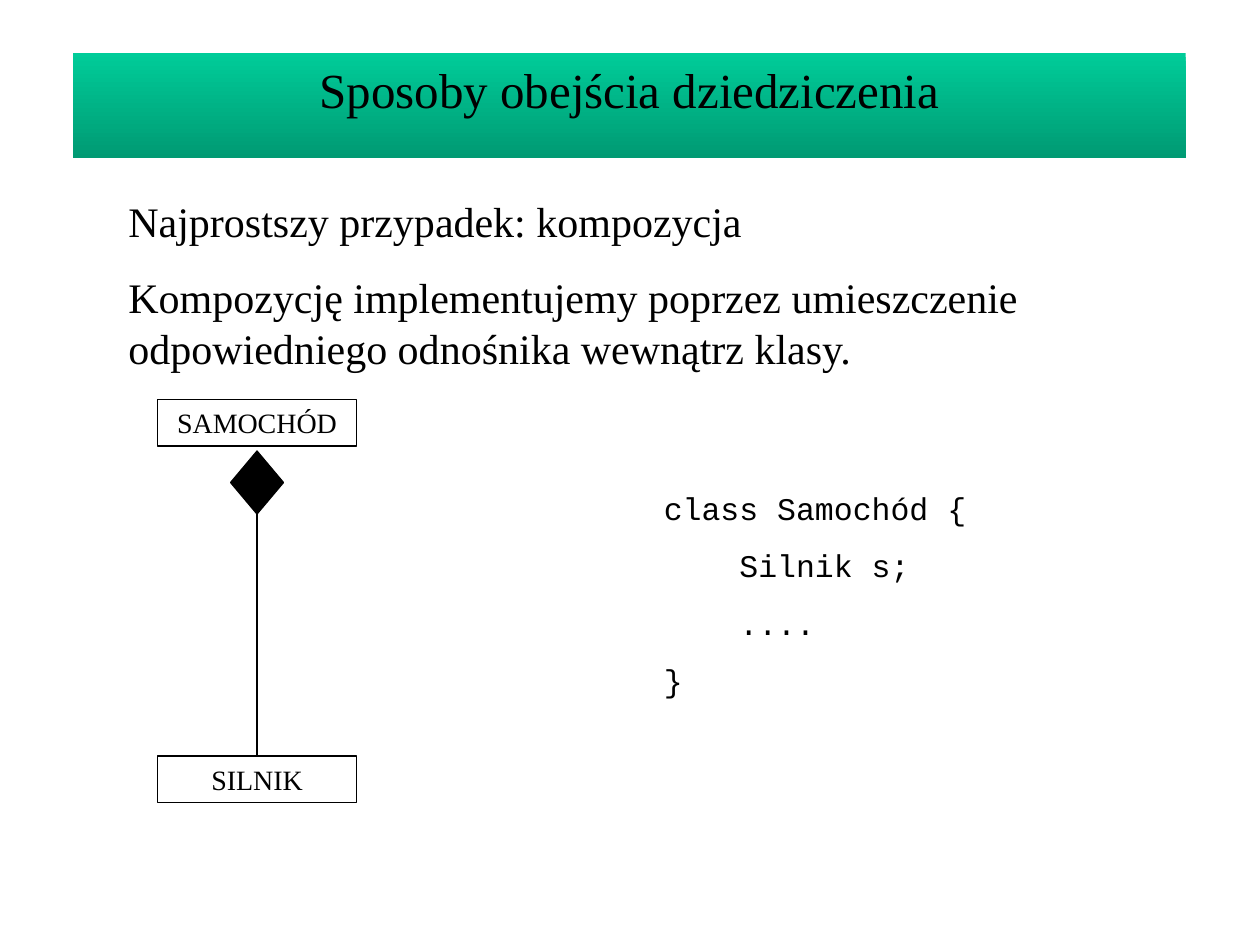
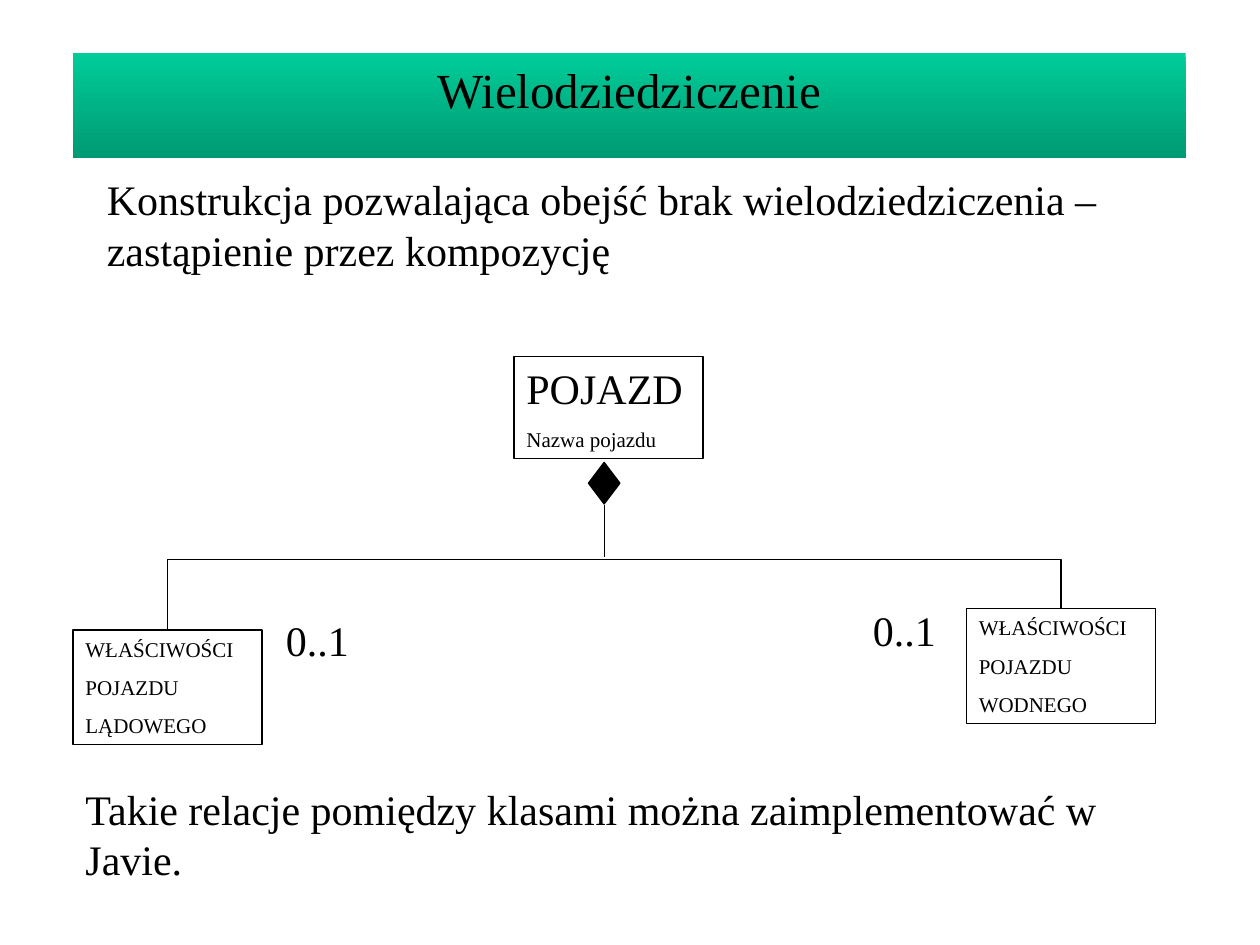
from dataclasses import dataclass

from lxml import etree
from pptx import Presentation
from pptx.dml.color import RGBColor
from pptx.enum import shapes, text
from pptx.oxml import ns
from pptx.util import Inches, Pt

COLOURS = {"ink": "000000", "band_top": "00CC99", "band_bottom": "009A73"}
SERIF = "Times New Roman"
MONO = "Courier New"
LINE_WIDTH = Pt(0.75)
SPACE_BEFORE_RATIO = 0.625
BODY_SIZE = 24


@dataclass(frozen=True)
class Line:
    text: str
    size: int = BODY_SIZE


@dataclass(frozen=True)
class TextBlock:
    left: float
    top: float
    width: float
    height: float
    lines: tuple[Line, ...]
    font: str = SERIF
    centred: bool = False
    outlined: bool = False


@dataclass(frozen=True)
class Diamond:
    left: float
    top: float
    width: float
    height: float


def lines_of(size: int, *texts: str) -> tuple[Line, ...]:
    return tuple(Line(item, size) for item in texts)


def colour(name: str) -> RGBColor:
    return RGBColor.from_string(COLOURS[name])


def write_lines(frame, lines: tuple[Line, ...], font: str, centred: bool) -> None:
    frame.word_wrap = True
    frame.auto_size = text.MSO_AUTO_SIZE.SHAPE_TO_FIT_TEXT
    frame.vertical_anchor = text.MSO_ANCHOR.TOP
    for index, line in enumerate(lines):
        paragraph = frame.add_paragraph() if index else frame.paragraphs[0]
        paragraph.alignment = text.PP_ALIGN.CENTER if centred else text.PP_ALIGN.LEFT
        paragraph.space_before = Pt(line.size * SPACE_BEFORE_RATIO if index else 0)
        run = paragraph.add_run()
        run.text = line.text
        run.font.name = font
        run.font.size = Pt(line.size)
        run.font.color.rgb = colour("ink")


def draw_outline(line) -> None:
    line.color.rgb = colour("ink")
    line.width = LINE_WIDTH


def add_titled_slide(presentation, title: str):
    slide = presentation.slides.add_slide(presentation.slide_layouts[5])
    band = slide.shapes.title
    band.left, band.top = Inches(0.58), Inches(0.42)
    band.width, band.height = Inches(8.83), Inches(0.57)
    band.fill.gradient()
    band.fill.gradient_angle = 270
    for stop, name in zip(band.fill.gradient_stops, ("band_top", "band_bottom")):
        stop.color.rgb = colour(name)
    write_lines(band.text_frame, lines_of(28, title), SERIF, centred=True)
    return slide


def add_block(slide, block: TextBlock) -> None:
    bounds = [Inches(v) for v in (block.left, block.top, block.width, block.height)]
    if block.outlined:
        shape = slide.shapes.add_shape(shapes.MSO_SHAPE.RECTANGLE, *bounds)
        shape.shadow.inherit = False
        shape.fill.background()
        draw_outline(shape.line)
    else:
        shape = slide.shapes.add_textbox(*bounds)
    write_lines(shape.text_frame, block.lines, block.font, block.centred)


def add_diamond(slide, diamond: Diamond) -> None:
    bounds = (diamond.left, diamond.top, diamond.width, diamond.height)
    shape = slide.shapes.add_shape(shapes.MSO_SHAPE.DIAMOND, *map(Inches, bounds))
    shape.shadow.inherit = False
    shape.fill.solid()
    shape.fill.fore_color.rgb = colour("ink")
    draw_outline(shape.line)


def add_connector(slide, kind, start: tuple[float, float], end: tuple[float, float]):
    connector = slide.shapes.add_connector(kind, *map(Inches, start + end))
    draw_outline(connector.line)
    etree.SubElement(connector._element.spPr, ns.qn("a:effectLst"))
    return connector


def add_line(slide, start: tuple[float, float], end: tuple[float, float]) -> None:
    add_connector(slide, shapes.MSO_CONNECTOR.STRAIGHT, start, end)


def add_bracket(slide, left_foot: tuple[float, float],
                right_foot: tuple[float, float], rail: float) -> None:
    """Join two feet through a horizontal rail, as an elbow turned by 90 degrees."""
    (left, left_y), (right, right_y) = left_foot, right_foot
    centre_x, centre_y = (left + right) / 2, (left_y + right_y) / 2
    half_span, half_drop = (right - left) / 2, (left_y - right_y) / 2
    connector = add_connector(
        slide, shapes.MSO_CONNECTOR.ELBOW,
        (centre_x + half_drop, centre_y + half_span),
        (centre_x - half_drop, centre_y - half_span))
    properties = connector._element.spPr
    properties.find(ns.qn("a:xfrm")).set("rot", str(90 * 60000))
    adjustments = properties.find(ns.qn("a:prstGeom")).get_or_add_avLst()
    bend = round((left_y - rail) / (left_y - right_y) * 100000)
    etree.SubElement(adjustments, ns.qn("a:gd"), name="adj1", fmla=f"val {bend}")


def build_composition(presentation) -> None:
    slide = add_titled_slide(presentation, "Sposoby obejścia dziedziczenia")
    add_block(slide, TextBlock(0.92, 1.5, 7.75, 1.51, lines_of(
        BODY_SIZE, "Najprostszy przypadek: kompozycja",
        "Kompozycję implementujemy poprzez umieszczenie odpowiedniego "
        "odnośnika wewnątrz klasy.")))
    for name, top in (("SAMOCHÓD", 3.17), ("SILNIK", 6)):
        add_block(slide, TextBlock(1.25, top, 1.58, 0.37, lines_of(16, name),
                                   centred=True, outlined=True))
    add_diamond(slide, Diamond(1.83, 3.58, 0.42, 0.5))
    add_line(slide, (2.04, 4.08), (2.04, 6))
    add_block(slide, TextBlock(5.17, 3.83, 3.67, 1.77, lines_of(
        18, "class Samochód {", "    Silnik s;", "    ....", "}"), font=MONO))


def build_multiple_inheritance(presentation) -> None:
    slide = add_titled_slide(presentation, "Wielodziedziczenie")
    add_block(slide, TextBlock(4.08, 2.83, 1.5, 0.81, (
        Line("POJAZD"), Line("Nazwa pojazdu", 12)), outlined=True))
    for left, top, kind in ((0.58, 5, "LĄDOWEGO"), (7.67, 4.83, "WODNEGO")):
        add_block(slide, TextBlock(left, top, 1.5, 0.91, lines_of(
            12, "WŁAŚCIWOŚCI", "POJAZDU", kind), outlined=True))
    add_block(slide, TextBlock(0.75, 1.33, 8.17, 0.9, (Line(
        "Konstrukcja pozwalająca obejść brak wielodziedziczenia – "
        "zastąpienie przez kompozycję"),)))
    for left, top, width in ((2.17, 4.83, 1), (6.83, 4.75, 0.75)):
        add_block(slide, TextBlock(left, top, width, 0.5, (Line("0..1"),)))
    add_block(slide, TextBlock(0.58, 6.17, 8.67, 0.9, (Line(
        "Takie relacje pomiędzy klasami można zaimplementować w Javie."),)))
    add_bracket(slide, (1.33, 5), (8.42, 4.83), rail=4.44)
    add_diamond(slide, Diamond(4.67, 3.67, 0.25, 0.33))
    add_line(slide, (4.8, 4.01), (4.8, 4.42))


def main() -> None:
    presentation = Presentation()
    presentation.slide_width, presentation.slide_height = Inches(10), Inches(7.5)
    build_composition(presentation)
    build_multiple_inheritance(presentation)
    presentation.save("out.pptx")


if __name__ == "__main__":
    main()
